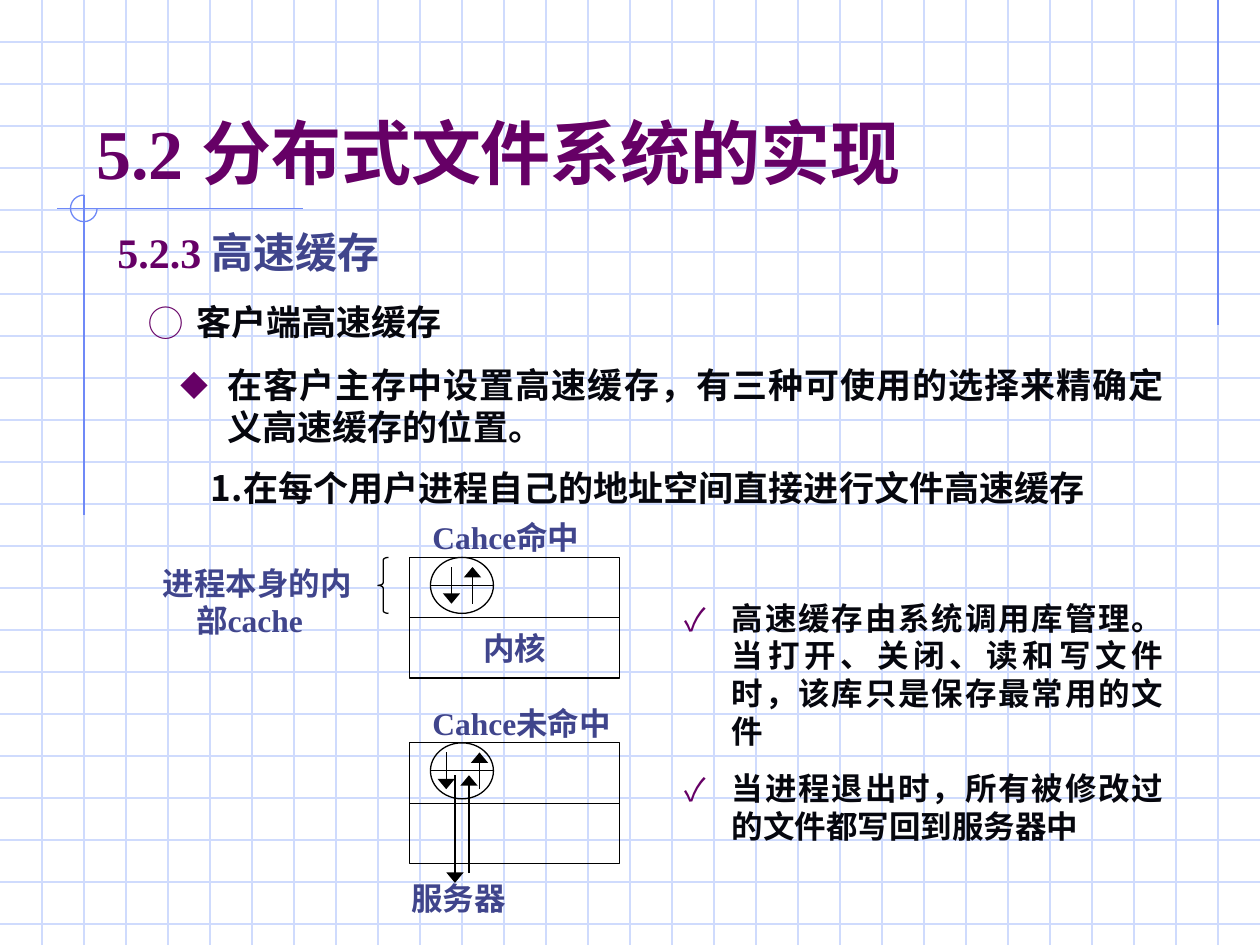
from dataclasses import dataclass

from lxml.etree import SubElement
from pptx import Presentation
from pptx.dml.color import RGBColor
from pptx.enum.shapes import MSO_CONNECTOR as CONN, MSO_SHAPE as SHAPE
from pptx.enum.text import MSO_ANCHOR as ANCHOR, PP_ALIGN as ALIGN
from pptx.oxml.ns import qn
from pptx.util import Pt


@dataclass(frozen=True)
class Theme:
    grid: str = "CFDBFD"
    rule: str = "6F89F7"
    plum: str = "660066"
    indigo: str = "40458C"
    ink: str = "06070E"
    black: str = "000000"
    title: int = 40
    heading: int = 24
    body: int = 20
    label: int = 18
    line: float = 0.75
    serif: str = "Times New Roman"
    sans: str = "Montserrat"
    cjk: str = "Noto Sans CJK SC"


T = Theme()


def add_run(p, text, size=T.label, color=T.indigo, font=T.sans, east=T.sans):
    r = p.add_run()
    r.text = text
    f = r.font
    f.size, f.bold, f.name = Pt(size), True, font
    f.color.rgb = RGBColor.from_string(color)
    SubElement(r._r.get_or_add_rPr(), qn("a:ea")).set("typeface", east)


class Deck:
    def __init__(self, prs, theme):
        self.t = theme
        self.s = prs.slides.add_slide(prs.slide_layouts[6])

    def stroke(self, sp, color):
        sp.line.color.rgb = RGBColor.from_string(color)
        sp.line.width = Pt(self.t.line)

    def line(self, x1, y1, x2, y2, color=T.black, arrow=False):
        c = self.s.shapes.add_connector(CONN.STRAIGHT, Pt(x1), Pt(y1), Pt(x2), Pt(y2))
        self.stroke(c, color)
        if arrow:
            SubElement(c.line._get_or_add_ln(), qn("a:tailEnd"), type="triangle", w="lg", len="med")
        SubElement(c._element.spPr, qn("a:effectLst"))
        return c

    def shape(self, kind, x, y, w, h, color=T.black, adjust=()):
        sp = self.s.shapes.add_shape(kind, Pt(x), Pt(y), Pt(w), Pt(h))
        sp.shadow.inherit = False
        sp.fill.background()
        self.stroke(sp, color)
        for i, value in enumerate(adjust):
            sp.adjustments[i] = value
        return sp

    def text(self, x, y, w, h, anchor=ANCHOR.TOP):
        tf = self.s.shapes.add_textbox(Pt(x), Pt(y), Pt(w), Pt(h)).text_frame
        tf.word_wrap = True
        tf.vertical_anchor = anchor
        return tf

    def paragraph(self, tf, *runs, align=ALIGN.LEFT, before=0, margin=0, indent=0,
                  bullet=None, scale=100, **fmt):
        first = not tf.paragraphs[0].runs
        p = tf.paragraphs[0] if first else tf.add_paragraph()
        p.alignment = align
        p.space_before = Pt(before)
        pPr = p._p.get_or_add_pPr()
        pPr.set("marL", str(Pt(margin)))
        pPr.set("indent", str(Pt(indent)))
        pPr.set("hangingPunct", "0")
        if bullet:
            SubElement(SubElement(pPr, qn("a:buClr")), qn("a:srgbClr"), val=self.t.plum)
            SubElement(pPr, qn("a:buSzPct"), val=str(scale * 1000))
            SubElement(pPr, qn("a:buFont"), typeface=self.t.cjk)
            SubElement(pPr, qn("a:buChar"), char=bullet)
        for text, own in runs:
            add_run(p, text, **{**fmt, **own})

    def label(self, text, x, y, w, h, margin=0, indent=0, font=T.serif):
        self.paragraph(self.text(x, y, w, h), (text, {}), margin=margin, indent=indent, font=font)

    def bullets(self, box, mark, items, size, before=0, scale=100):
        tf = self.text(*box)
        for i, item in enumerate(items):
            self.paragraph(tf, (item, {}), align=ALIGN.JUSTIFY, before=before if i else 0, margin=27,
                           indent=-27, bullet=mark, scale=scale, size=size, color=self.t.ink)
        return tf

    def background(self, width, height, step=24):
        for y in range(step, height, step):
            self.line(0, y, width, y, self.t.grid)
        for x in range(step, width, step):
            self.line(x, 0, x, height, self.t.grid)
        rule = self.t.rule
        self.line(696, 0, 696, 186, rule)
        self.line(173, 119.3, 32.5, 119.3, rule)
        self.line(48, 111.5, 48, 294.5, rule)
        self.shape(SHAPE.ARC, 40.3, 111.5, 15.2, 15.2, rule, (0, 162))

    def cache(self, top, down_x, up_x, row=34.5):
        rows = [self.shape(SHAPE.RECTANGLE, 234, top + i * row, 120, row) for i in range(2)]
        self.shape(SHAPE.OVAL, 246, top, 36, 32)
        self.line(246, top + 16, 282, top + 16)
        self.line(down_x, top + 5.5, down_x, top + 26.5, arrow=True)
        self.line(up_x, top + 26.5, up_x, top + 5.5, arrow=True)
        return rows


def main():
    prs = Presentation()
    prs.slide_width, prs.slide_height = Pt(720), Pt(540)
    d = Deck(prs, T)
    d.background(720, 540)

    title = d.text(48, 24, 612, 90, ANCHOR.BOTTOM)
    d.paragraph(title, ("5.2 ", {"font": T.serif}), ("分布式文件系统的实现", {"font": T.cjk}),
                size=T.title, color=T.plum, east=T.cjk)
    heading = d.text(60, 126, 630, 36)
    d.paragraph(heading, ("5.2.3 ", {"font": T.serif, "color": T.plum}), ("高速缓存", {}), size=T.heading)

    d.bullets((78, 168, 594, 32), "◯", ["客户端高速缓存"], T.body)
    choices = d.bullets((96, 204, 576, 90), "◆",
                        ["在客户主存中设置高速缓存，有三种可使用的选择来精确定义高速缓存的位置。"],
                        T.body, scale=80)
    d.paragraph(choices, ("1.在每个用户进程自己的地址空间直接进行文件高速缓存", {}), before=11, margin=17.5,
                size=T.body, color=T.ink, font=T.cjk, east=T.cjk)
    d.bullets((384, 338.5, 288, 127), "✓",
              ["高速缓存由系统调用库管理。当打开、关闭、读和写文件时，该库只是保存最常用的文件",
               "当进程退出时，所有被修改过的文件都写回到服务器中"], T.label, before=11.2)

    kernel = d.cache(318.5, 258, 270)[1].text_frame
    kernel.vertical_anchor = ANCHOR.MIDDLE
    kernel.word_wrap = False
    d.paragraph(kernel, ("内核", {}), align=ALIGN.CENTER)
    d.shape(SHAPE.LEFT_BRACE, 216, 318.5, 6, 32, adjust=(0.25, 0.5))
    d.label("进程本身的内部cache", 78, 318.5, 138, 50, margin=27, indent=-19)
    d.cache(424.5, 255, 274)
    d.label("Cahce命中", 240, 292.5, 132, 29)
    d.label("Cahce未命中", 240, 398.5, 132, 29)
    d.line(260, 443, 260, 504.5, arrow=True)
    d.line(268, 499, 268, 443, arrow=True)
    d.label("服务器", 228, 499, 114, 29, font=T.sans)

    prs.save("out.pptx")


if __name__ == "__main__":
    main()
